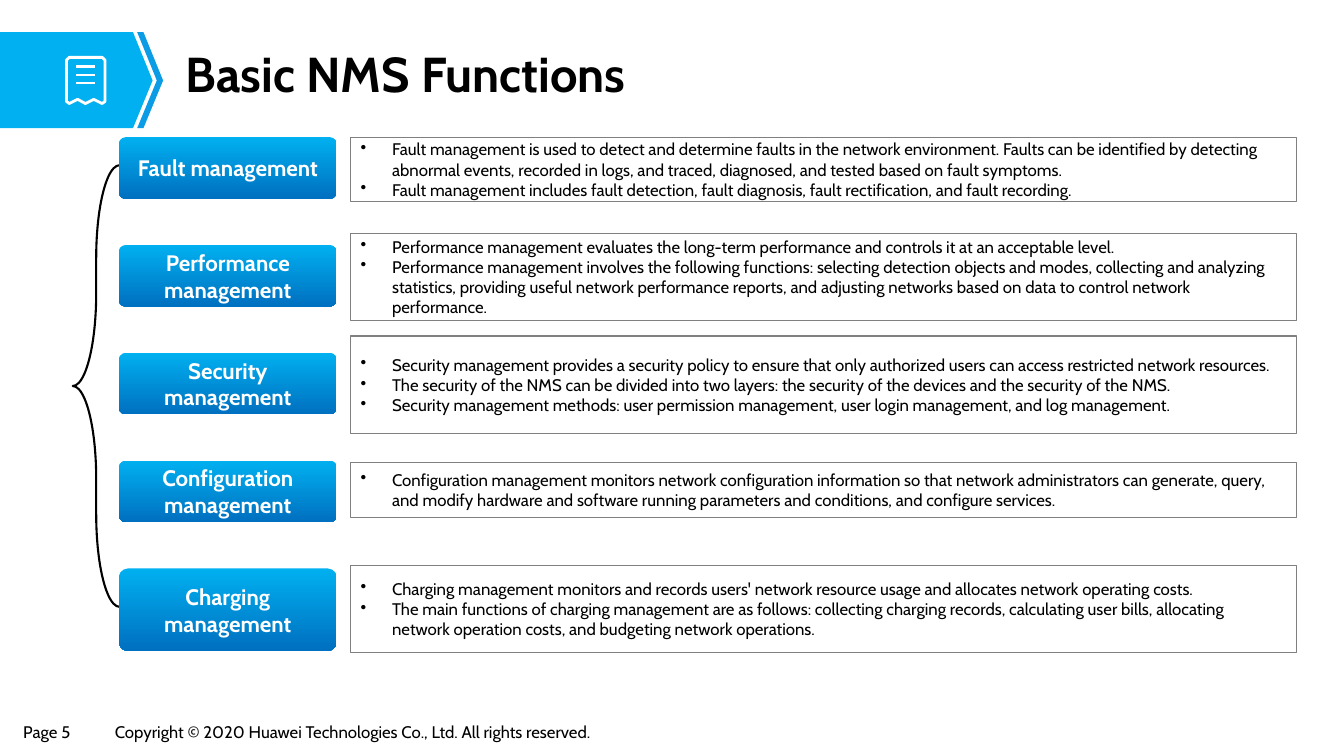
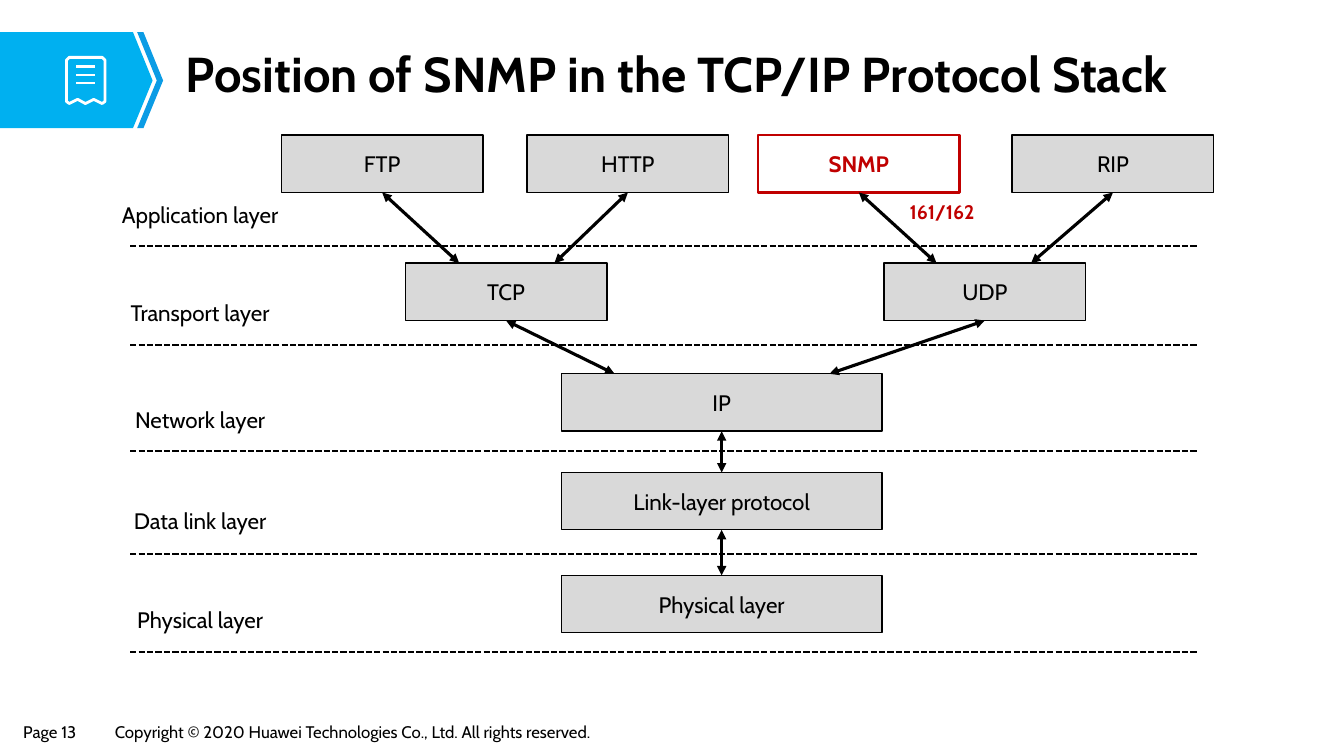
from lxml import etree
from pptx import Presentation
from pptx.dml.color import RGBColor
from pptx.enum.dml import MSO_LINE
from pptx.enum.shapes import MSO_CONNECTOR, MSO_SHAPE
from pptx.enum.text import MSO_ANCHOR, MSO_AUTO_SIZE, PP_ALIGN
from pptx.oxml.ns import qn
from pptx.util import Pt

LINE = MSO_CONNECTOR.STRAIGHT
RECT = MSO_SHAPE.RECTANGLE
ROUND = MSO_SHAPE.ROUNDED_RECTANGLE
BRACE = MSO_SHAPE.LEFT_BRACE
DASH = MSO_LINE.SQUARE_DOT
TOP, MIDDLE = MSO_ANCHOR.TOP, MSO_ANCHOR.MIDDLE
LEFT, CENTER = PP_ALIGN.LEFT, PP_ALIGN.CENTER
FIXED = MSO_AUTO_SIZE.NONE
FONT = "Cabin"
BLACK, WHITE, RED = "000000", "FFFFFF", "C00000"
SKY, BLUE, DEEP = "00B0F0", "0B9CE5", "0070C0"
GREY, EDGE = "D9D9D9", "808080"


def rgb(code):
    return RGBColor.from_string(code)


def write(shape, lines, size, color=BLACK, bold=False, align=LEFT,
          anchor=MIDDLE, wrap=True, bullet=False):
    frame = shape.text_frame
    frame.auto_size = FIXED
    frame.word_wrap = wrap
    frame.vertical_anchor = anchor
    for i, line in enumerate(lines):
        para = frame.add_paragraph() if i else frame.paragraphs[0]
        para.alignment = align
        if bullet:
            props = para._p.get_or_add_pPr()
            props.set("marL", str(Pt(22.5)))
            props.set("indent", str(-Pt(22.5)))
            etree.SubElement(props, qn("a:buChar")).set("char", "•")
        run = para.add_run()
        run.text = line
        run.font.name = FONT
        run.font.size = Pt(size)
        run.font.bold = bold
        run.font.color.rgb = rgb(color)


deck = Presentation()
deck.slide_width, deck.slide_height = Pt(960), Pt(540)

marks = [
    (SKY, None, [(0, 23), (95, 23), (109, 57.5), (95, 91.5), (0, 91.5)]),
    (BLUE, None, [(98, 23), (102.5, 23), (116.5, 57.5), (102.5, 91.5),
                  (98, 91.5), (112, 57.5)]),
    (None, 2, [(47.5, 43), (49.5, 41), (73, 41), (75, 43), (75, 72.5),
               (73, 74), (67, 71), (61, 74), (55.5, 71), (49.5, 74),
               (47.5, 72.5)]),
    (None, 1.5, [(54.5, 47.5), (68, 47.5)]),
    (None, 1.5, [(54.5, 53.5), (68, 53.5)]),
    (None, 1.5, [(54.5, 59.5), (68, 59.5)]),
]
note = "Copyright © 2020 Huawei Technologies Co., Ltd. All rights reserved."
heads = [("Basic NMS Functions", "Page 5"),
         ("Position of SNMP in the TCP/IP Protocol Stack", "Page 13")]

for head, page in heads:
    slide = deck.slides.add_slide(deck.slide_layouts[5])
    title = slide.shapes.title
    title.left, title.top = Pt(125.5), Pt(32.5)
    title.width, title.height = Pt(809), Pt(50.5)
    write(title, [head], 35, bold=True, anchor=TOP)
    title.text_frame.paragraphs[0].line_spacing = 0.9
    for fill, width, dots in marks:
        dots = [(Pt(x), Pt(y)) for x, y in dots]
        path = slide.shapes.build_freeform(*dots[0])
        path.add_line_segments(dots[1:], close=len(dots) > 2)
        mark = path.convert_to_shape()
        mark.shadow.inherit = False
        if fill:
            mark.fill.solid()
            mark.fill.fore_color.rgb = rgb(fill)
            mark.line.fill.background()
        else:
            mark.fill.background()
            mark.line.color.rgb = rgb(WHITE)
            mark.line.width = Pt(width)
    for text, x, w in [(page, 9.5, 58), (note, 75, 390)]:
        foot = slide.shapes.add_textbox(Pt(x), Pt(512), Pt(w), Pt(21))
        write(foot, [text], 12, anchor=TOP, wrap=False)

first, second = deck.slides

brace = first.shapes.add_shape(BRACE, Pt(52), Pt(118), Pt(33.5), Pt(315.5))
brace.adjustments[0] = 1.98
brace.shadow.inherit = False
brace.fill.background()
brace.line.color.rgb = rgb(BLACK)
brace.line.width = Pt(1.5)

tasks = [
    ("Fault management", 44, 98, 46, [
        "Fault management is used to detect and determine faults in the network environment. Faults can be identified by detecting abnormal events, recorded in logs, and traced, diagnosed, and tested based on fault symptoms.",
        "Fault management includes fault detection, fault diagnosis, fault rectification, and fault recording."]),
    ("Performance management", 44, 166.5, 62.5, [
        "Performance management evaluates the long-term performance and controls it at an acceptable level.",
        "Performance management involves the following functions: selecting detection objects and modes, collecting and analyzing statistics, providing useful network performance reports, and adjusting networks based on data to control network performance."]),
    ("Security management", 44, 240, 70, [
        "Security management provides a security policy to ensure that only authorized users can access restricted network resources.",
        "The security of the NMS can be divided into two layers: the security of the devices and the security of the NMS.",
        "Security management methods: user permission management, user login management, and log management."]),
    ("Configuration management", 44, 330.5, 39, [
        "Configuration management monitors network configuration information so that network administrators can generate, query, and modify hardware and software running parameters and conditions, and configure services."]),
    ("Charging management", 59, 404, 62, [
        "Charging management monitors and records users' network resource usage and allocates network operating costs.",
        "The main functions of charging management are as follows: collecting charging records, calculating user bills, allocating network operation costs, and budgeting network operations."]),
]
for i, (name, tall, y, h, lines) in enumerate(tasks):
    bar = first.shapes.add_shape(ROUND, Pt(85), Pt(98 + 77 * i), Pt(155.5), Pt(tall))
    bar.adjustments[0] = 0.11
    bar.shadow.inherit = False
    bar.line.fill.background()
    bar.fill.gradient()
    bar.fill.gradient_angle = 270
    for stop, place, color in zip(bar.fill.gradient_stops, (0, 1), (SKY, DEEP)):
        stop.position = place
        stop.color.rgb = rgb(color)
    write(bar, [name], 16, WHITE, True, CENTER)
    card = first.shapes.add_shape(RECT, Pt(250.5), Pt(y), Pt(675.5), Pt(h))
    card.shadow.inherit = False
    card.fill.background()
    card.line.color.rgb = rgb(EDGE)
    card.line.width = Pt(0.75)
    write(card, lines, 12, bullet=True)

nodes = [
    ("FTP", 201, 96.5, 144), ("HTTP", 376.5, 96.5, 144),
    ("SNMP", 541.5, 96.5, 144), ("RIP", 723, 96.5, 144),
    ("TCP", 289.5, 188, 144), ("UDP", 631.5, 188, 144),
    ("IP", 401, 267, 229), ("Link-layer protocol", 401, 337.5, 229),
    ("Physical layer", 401, 411, 229),
]
boxes = {}
for name, x, y, w in nodes:
    hot = name == "SNMP"
    box = second.shapes.add_shape(RECT, Pt(x), Pt(y), Pt(w), Pt(41))
    box.shadow.inherit = False
    if hot:
        box.fill.background()
    else:
        box.fill.solid()
        box.fill.fore_color.rgb = rgb(GREY)
    box.line.color.rgb = rgb(RED if hot else BLACK)
    box.line.width = Pt(2 if hot else 1)
    write(box, [name], 16, RED if hot else BLACK, hot, CENTER)
    boxes[name] = box

layers = [("Application layer", 139.5, 175.5), ("Transport layer", 209.5, 246.5),
          ("Network layer", 286, 322), ("Data link layer", 358, 395.5),
          ("Physical layer", 429, 466)]
for name, y, base in layers:
    label = second.shapes.add_textbox(Pt(111), Pt(y), Pt(64), Pt(27))
    write(label, [name], 16, align=CENTER, wrap=False)
    rule = second.shapes.add_connector(LINE, Pt(93), Pt(base), Pt(855.5), Pt(base))
    rule.line.color.rgb = rgb(BLACK)
    rule.line.width = Pt(1.5)
    rule.line.dash_style = DASH
    etree.SubElement(rule._element.spPr, qn("a:effectLst"))

links = [("FTP", "TCP", 328), ("HTTP", "TCP", 396),
         ("SNMP", "UDP", 669), ("RIP", "UDP", 736.5),
         ("TCP", "IP", 439), ("UDP", "IP", 592.5),
         ("IP", "Link-layer protocol", None),
         ("Link-layer protocol", "Physical layer", None)]
for start, end, x in links:
    goal = boxes[end]
    link = second.shapes.add_connector(LINE, 0, 0, Pt(x or 0), goal.top)
    link.begin_connect(boxes[start], 2)
    if x is None:
        link.end_connect(goal, 0)
    link.line.color.rgb = rgb(BLACK)
    link.line.width = Pt(2.25)
    for tip in ("a:headEnd", "a:tailEnd"):
        etree.SubElement(link.line._get_or_add_ln(), qn(tip)).set("type", "triangle")
    etree.SubElement(link._element.spPr, qn("a:effectLst"))

port = second.shapes.add_textbox(Pt(638.5), Pt(138), Pt(69), Pt(26))
write(port, ["161/162"], 14, RED, True, CENTER, wrap=False)

deck.save("out.pptx")
